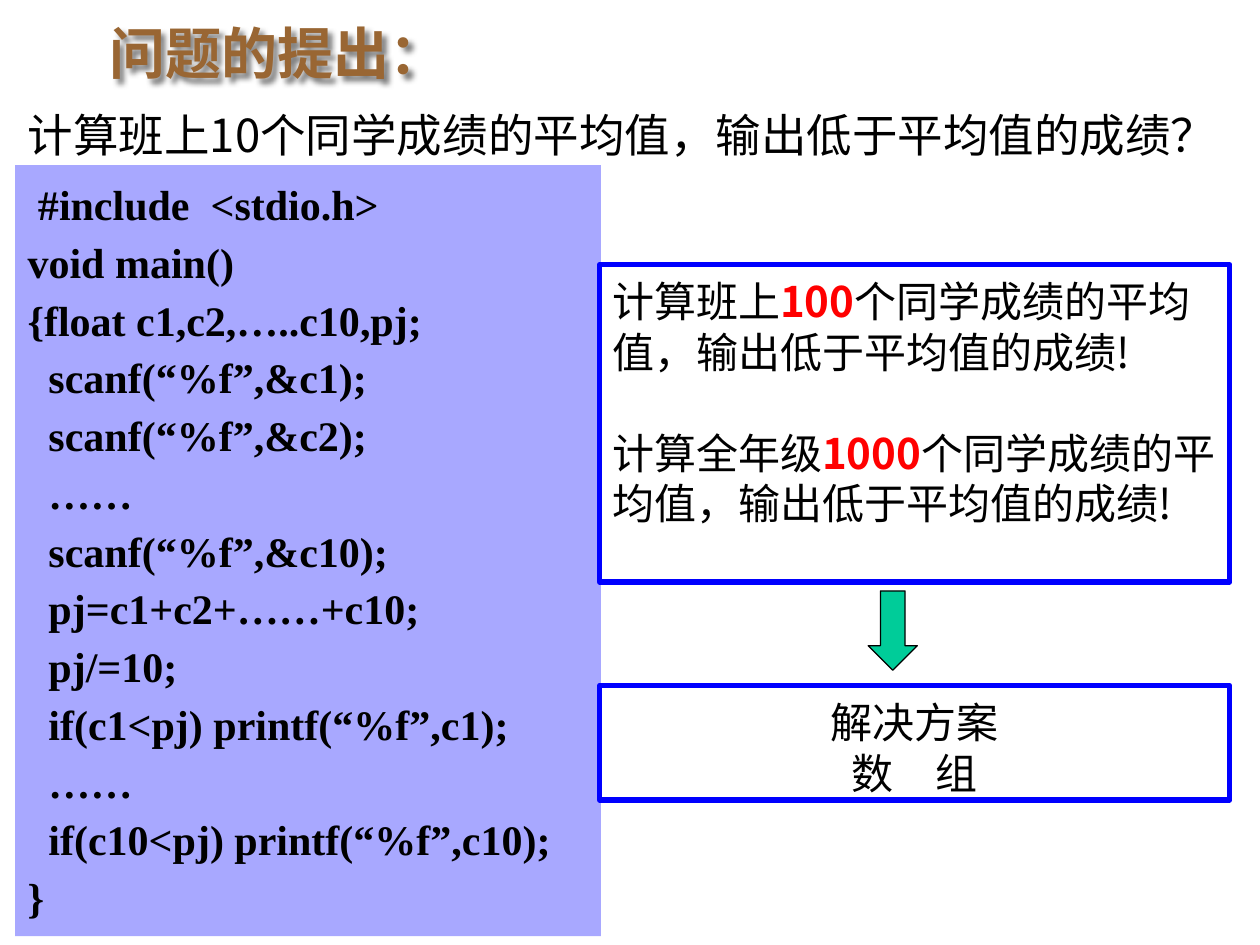
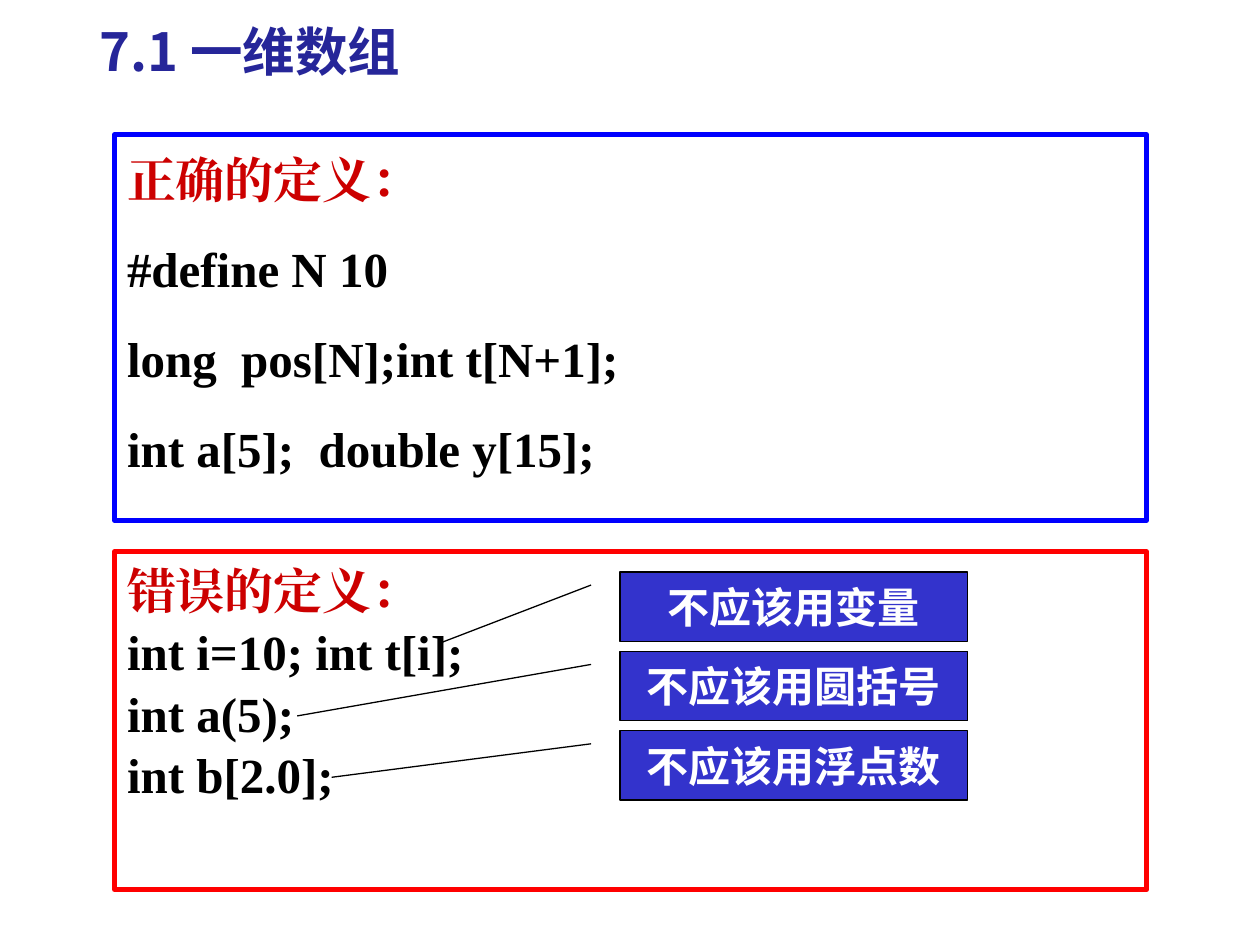
import pptx
import pptx.util
import pptx.dml.color
import pptx.enum.shapes
import pptx.enum.text
import pptx.oxml
import pptx.oxml.ns
from lxml import etree

Inches = pptx.util.Inches
Pt = pptx.util.Pt
SHAPE = pptx.enum.shapes.MSO_SHAPE
ALIGN = pptx.enum.text.PP_ALIGN
ANCHOR = pptx.enum.text.MSO_ANCHOR
qn = pptx.oxml.ns.qn

COLORS = {
    "black": "000000", "white": "FFFFFF", "blue": "0000FF", "red": "FF0000",
    "dark_red": "CC0000", "green": "00CC99", "brown": "996633",
    "navy": "262699", "callout": "3333CC", "shadow": "808080",
}
SANS = "Noto Sans CJK SC"
SERIF = "Times New Roman"

PROGRAM = """ #include  <stdio.h>
void main()
{float c1,c2,…..c10,pj;
  scanf(“%f”,&c1);
  scanf(“%f”,&c2);
  ……
  scanf(“%f”,&c10);
  pj=c1+c2+……+c10;
  pj/=10;
  if(c1<pj) printf(“%f”,c1);
  ……
  if(c10<pj) printf(“%f”,c10);
}""".split("\n")
TASK_END = "个同学成绩的平均值，输出低于平均值的成绩!"
TASKS = [
    ["计算班上", ("100", "red", True), TASK_END],
    ["计算全年级", ("1000", "red", True), TASK_END],
]
CORRECT = ["#define N 10", "long  pos[N];int t[N+1];", "int a[5];  double y[15];"]
WRONG = ["int i=10; int t[i];", "int a(5);", "int b[2.0];"]
MISTAKES = [
    ("不应该用变量", 1.028, -0.519),
    ("不应该用圆括号", 0.931, -0.928),
    ("不应该用浮点数", 0.671, -0.829),
]


def rgb(name):
    """Return the named colour."""
    return pptx.dml.color.RGBColor.from_string(COLORS[name])


def place(slide, box, kind=SHAPE.RECTANGLE, fill=None, alpha=None, line=None, width=3):
    """Add a preset shape in a box given in inches."""
    shape = slide.shapes.add_shape(kind, *map(Inches, box))
    shape.shadow.inherit = False
    if fill:
        shape.fill.solid()
        shape.fill.fore_color.rgb = rgb(fill)
    else:
        shape.fill.background()
    if alpha:
        tint = shape.fill._xPr.find(qn("a:solidFill"))[0]
        etree.SubElement(tint, qn("a:alpha")).set("val", str(alpha * 1000))
    if line:
        shape.line.color.rgb = rgb(line)
        shape.line.width = Pt(width)
    else:
        shape.line.fill.background()
    return shape


def write(shape, paragraphs, size=24, font=SANS, color="black", bold=False,
          align=ALIGN.LEFT, spacing=None, before=0, hanging=0, left=0.1,
          top=0.09, anchor=ANCHOR.TOP, wrap=True):
    """Fill a shape with paragraphs of plain strings or (text, colour, bold) runs."""
    frame = shape.text_frame
    frame.word_wrap = wrap
    frame.vertical_anchor = anchor
    frame.margin_left, frame.margin_right = Inches(left), Inches(0.1)
    frame.margin_top, frame.margin_bottom = Inches(top), Inches(0.05)
    for index, runs in enumerate(paragraphs):
        paragraph = frame.paragraphs[0] if index == 0 else frame.add_paragraph()
        paragraph.alignment = align
        if spacing:
            paragraph.line_spacing = spacing
        if index:
            paragraph.space_before = Pt(before)
        if hanging:
            properties = paragraph._p.get_or_add_pPr()
            properties.set("marL", str(Inches(hanging)))
            properties.set("indent", str(-Inches(hanging)))
        for part in [runs] if isinstance(runs, (str, tuple)) else runs:
            text, tone, weight = (part, color, bold) if isinstance(part, str) else part
            run = paragraph.add_run()
            run.text = text
            run.font.size = Pt(size)
            run.font.name = font
            run.font.bold = weight
            run.font.color.rgb = rgb(tone)
            east_asian = etree.SubElement(run._r.get_or_add_rPr(), qn("a:ea"))
            east_asian.set("typeface", font)


def add_title(slide, text, box, size, color, shadow=False):
    """Write the slide title, with a soft shadow if asked."""
    title = slide.shapes.add_textbox(*map(Inches, box))
    write(title, [text], size=size, color=color, bold=True, left=0.2, top=0.1,
          spacing=Pt(size * 1.2), wrap=False)
    if shadow:
        effects = etree.SubElement(title._element.spPr, qn("a:effectLst"))
        outer = etree.SubElement(effects, qn("a:outerShdw"), blurRad="38100",
                                 dist="38100", dir="2700000", algn="tl")
        etree.SubElement(outer, qn("a:srgbClr"), val=COLORS["shadow"])


def add_solution(slide, left, top, width):
    """Add the arrow and the solution box below the tasks."""
    solution = place(slide, (left, top + 0.75, width, 0.91), line="blue")
    write(solution, ["解决方案", "数　组"], align=ALIGN.CENTER, spacing=Pt(28.8))
    place(slide, (left + 2.13, top, 0.39, 0.63), SHAPE.DOWN_ARROW,
          fill="green", line="black", width=0.75)


def add_mistakes(slide, left, top):
    """Add the callouts that explain each wrong definition."""
    for row, (reason, end_y, end_x) in enumerate(MISTAKES):
        callout = place(slide, (left, top + row * 0.63, 2.76, 0.55),
                        SHAPE.LINE_CALLOUT_1, fill="callout", line="black", width=0.75)
        for index, value in enumerate((0.188, -0.083, end_y, end_x)):
            callout.adjustments[index] = value
        write(callout, [reason], font="Arial", color="white", bold=True,
              align=ALIGN.CENTER, anchor=ANCHOR.MIDDLE, top=0.05)


def build_problem(slide):
    """Build the slide that raises the problem."""
    question = place(slide, (0.12, 0.76, 9.68, 0.54), fill="white")
    write(question, ["计算班上10个同学成绩的平均值，输出低于平均值的成绩？"],
          size=26, spacing=Pt(31.2), wrap=False)
    program = place(slide, (0.12, 1.31, 4.65, 6.12), fill="blue", alpha=34)
    write(program, PROGRAM, font=SERIF, bold=True, align=ALIGN.JUSTIFY,
          spacing=Pt(33), hanging=0.5, top=0.05)
    tasks = place(slide, (4.76, 2.1, 5, 2.52), line="blue")
    write(tasks, TASKS, spacing=Pt(28.8), before=28.8)
    add_solution(slide, 4.76, 4.69, 5)
    add_title(slide, "问题的提出：", (0.67, 0.05, 3.82, 0.64), 32, "brown", shadow=True)


def build_definitions(slide):
    """Build the slide with correct and wrong array definitions."""
    code = {"size": 28, "font": SERIF, "bold": True, "hanging": 0.5}
    correct = place(slide, (0.91, 1.07, 8.19, 3.06), line="blue")
    write(correct, [("正确的定义：", "dark_red", True)] + CORRECT,
          spacing=1.05, before=16, **code)
    wrong = place(slide, (0.91, 4.38, 8.19, 2.68), line="red")
    write(wrong, [("错误的定义：", "dark_red", True)] + WRONG,
          spacing=Pt(35), top=0.05, **code)
    add_mistakes(slide, 4.92, 4.54)
    add_title(slide, "7.1 一维数组", (0.59, 0.05, 3.98, 0.61), 30, "navy")


def main():
    """Build and save the presentation."""
    deck = pptx.Presentation()
    deck.slide_width, deck.slide_height = Inches(10), Inches(7.5)
    for build in (build_problem, build_definitions):
        build(deck.slides.add_slide(deck.slide_layouts[6]))
    deck.save("out.pptx")


if __name__ == "__main__":
    main()
